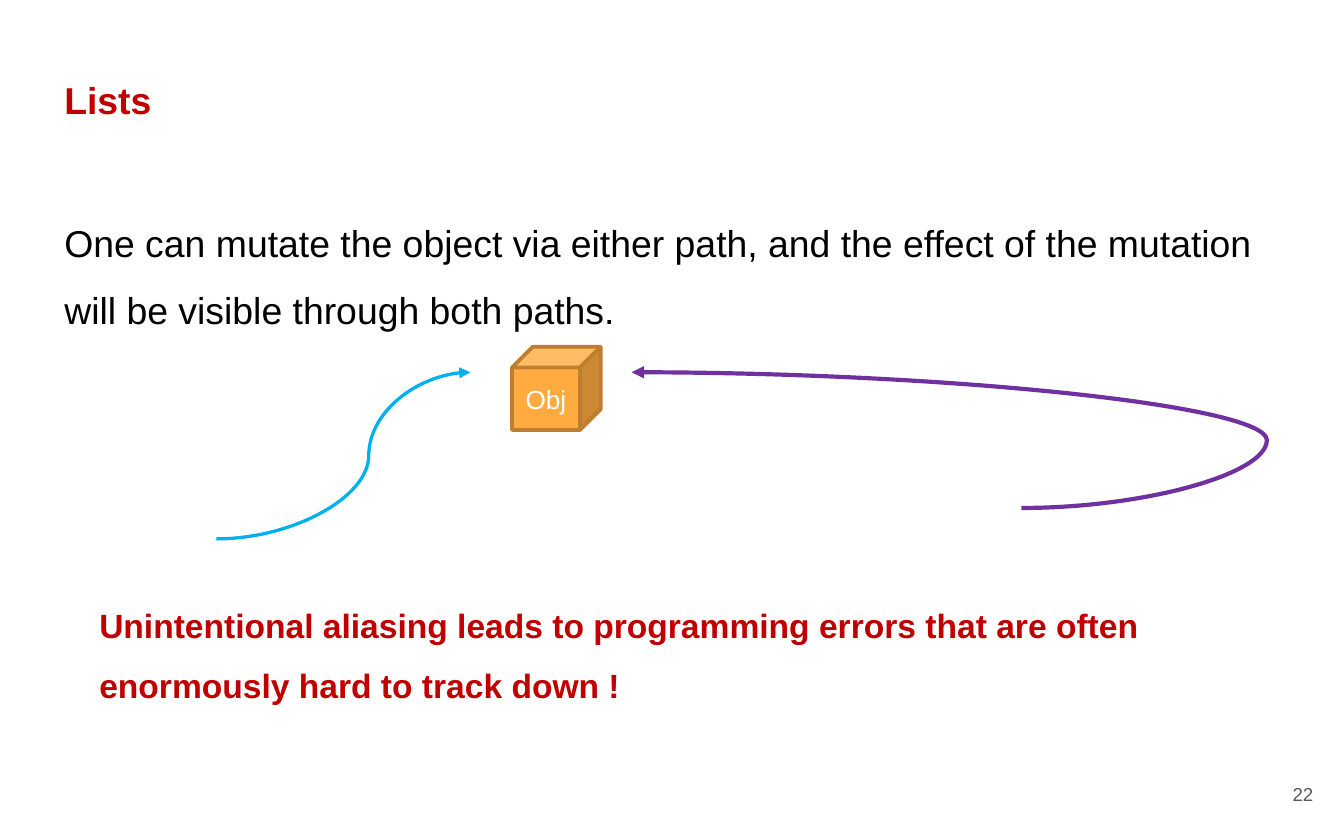
from dataclasses import dataclass

from lxml.etree import SubElement
from pptx import Presentation
from pptx.dml.color import RGBColor
from pptx.enum.shapes import MSO_CONNECTOR, MSO_SHAPE
from pptx.enum.text import MSO_ANCHOR, PP_ALIGN
from pptx.oxml.ns import qn
from pptx.slide import Slide
from pptx.util import Inches, Pt

COLORS = {
    "red": "C00000",
    "black": "000000",
    "grey": "595959",
    "white": "FFFFFF",
    "blue": "00B0F0",
    "purple": "7030A0",
    "orange": "FFAB40",
    "brown": "BD7F2F",
}


def color(name):
    return RGBColor.from_string(COLORS[name])


def write(frame, text, *, font="Arial", size=20, ink="black", bold=False,
          align=PP_ALIGN.LEFT, anchor=MSO_ANCHOR.TOP, spacing=1.0,
          indent=0, inset=0.05):
    frame.word_wrap = True
    frame.vertical_anchor = anchor
    frame.margin_left = frame.margin_right = Inches(0.1)
    frame.margin_top = frame.margin_bottom = Inches(inset)
    paragraph = frame.paragraphs[0]
    paragraph.alignment = align
    paragraph.line_spacing = spacing
    paragraph._p.get_or_add_pPr().set("marL", str(Inches(indent)))
    run = paragraph.add_run()
    run.text = text
    run.font.name = font
    run.font.size = Pt(size)
    run.font.bold = bold
    run.font.color.rgb = color(ink)


@dataclass
class AliasingSlide:
    """Holds the current slide and its type style, and draws its elements."""

    slide: Slide
    font: str = "Arial"

    def text(self, box, words, **style):
        label = self.slide.shapes.add_textbox(*map(Inches, box))
        write(label.text_frame, words, font=self.font, **style)

    def cube(self, box, words, **style):
        cube = self.slide.shapes.add_shape(MSO_SHAPE.CUBE, *map(Inches, box))
        cube.shadow.inherit = False
        cube.fill.solid()
        cube.fill.fore_color.rgb = color("orange")
        cube.line.color.rgb = color("brown")
        cube.line.width = Pt(2)
        write(cube.text_frame, words, font=self.font, **style)

    def curved_path(self, start, end, ink, width, bend):
        path = self.slide.shapes.add_connector(
            MSO_CONNECTOR.CURVE, *map(Inches, start + end))
        path.line.color.rgb = color(ink)
        path.line.width = Pt(width)
        properties = path._element.spPr
        guides = properties.find(qn("a:prstGeom")).find(qn("a:avLst"))
        SubElement(guides, qn("a:gd"), name="adj1",
                   fmla=f"val {round(bend * 100000)}")
        SubElement(properties.find(qn("a:ln")), qn("a:tailEnd"), type="triangle")
        SubElement(properties, qn("a:effectLst"))


def main():
    deck = Presentation()
    deck.slide_width, deck.slide_height = Inches(10), Inches(6.25)
    page = AliasingSlide(deck.slides.add_slide(deck.slide_layouts[6]))

    page.text((0.38, 0.58, 7.52, 0.32), "Lists", ink="red", bold=True,
              anchor=MSO_ANCHOR.MIDDLE, inset=0.1)
    page.text((9.27, 5.67, 0.6, 0.48), "22", size=10, ink="grey",
              align=PP_ALIGN.RIGHT, anchor=MSO_ANCHOR.MIDDLE, inset=0.1)
    page.text((0.26, 1.42, 9.48, 1.05),
              "One can mutate the object via either path, and the effect of "
              "the mutation will be visible through both paths.",
              spacing=1.5, indent=0.12)
    page.text((0.52, 4.3, 9.48, 0.95),
              "Unintentional aliasing leads to programming errors that are "
              "often enormously hard to track down !",
              size=18, ink="red", bold=True, spacing=1.5, indent=0.12)

    page.curved_path((1.61, 4.01), (3.5, 2.77), "blue", 1.75, bend=0.6)
    page.curved_path((7.6, 3.78), (4.7, 2.77), "purple", 2.25, bend=-0.63)
    page.cube((3.81, 2.58, 0.66, 0.62), "Obj", size=14, ink="white",
              align=PP_ALIGN.CENTER, anchor=MSO_ANCHOR.MIDDLE)

    deck.save("out.pptx")


if __name__ == "__main__":
    main()
